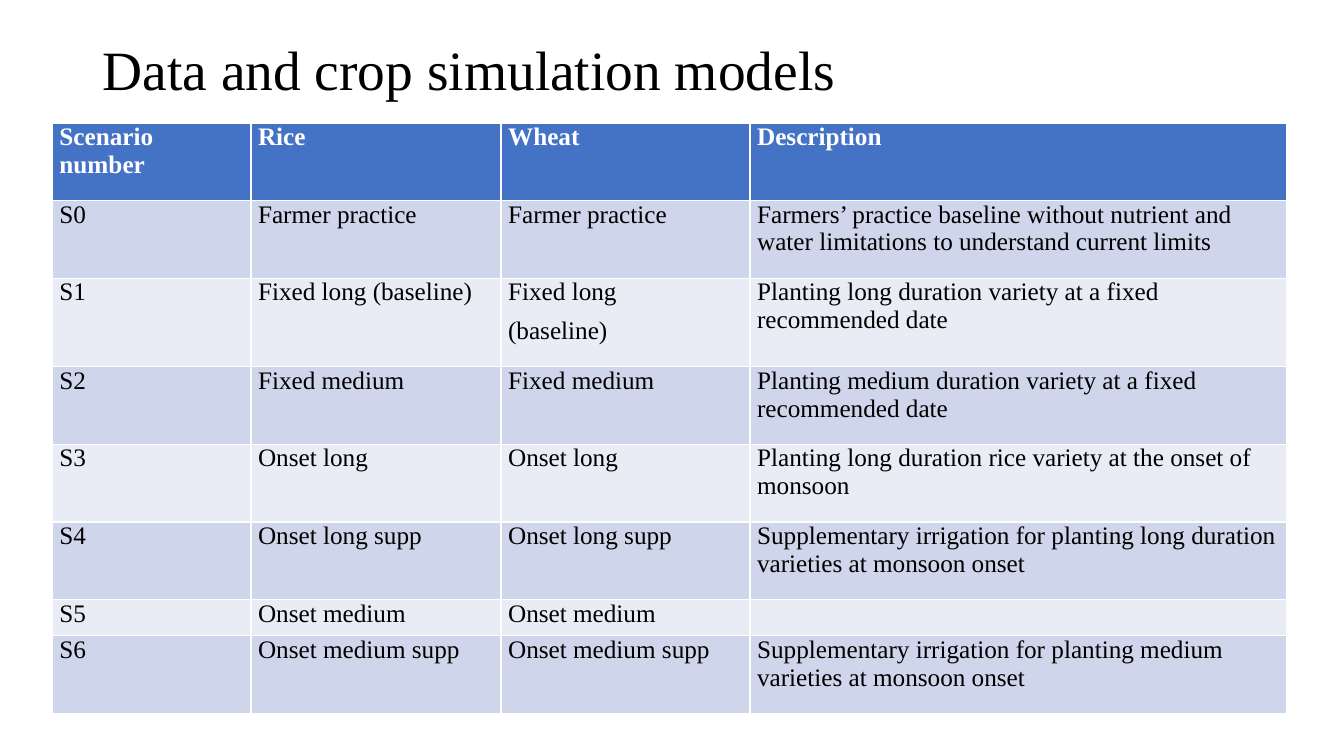
"""Build a slide with a table of crop simulation scenarios."""
from dataclasses import dataclass

from pptx import Presentation
from pptx import util as u
from pptx.dml import color
from pptx.enum import text

PX = u.Inches(1) // 100


@dataclass(frozen=True)
class Theme:
    """Hold the colours, font and type sizes of the slide."""
    font: str = "Times New Roman"
    title_size: float = 39.6
    table_size: float = 18
    ink: str = "000000"
    header_ink: str = "FFFFFF"
    header_fill: str = "4472C4"
    band_fills: tuple = ("E9EBF5", "CFD5EA")


THEME = Theme()

COLUMN_WIDTHS = (197, 248, 247, 532)
ROW_HEIGHTS = (77, 77, 88, 77, 77, 77, 36, 77)
SCENARIOS = (
    ("Scenario number", "Rice", "Wheat", "Description"),
    ("S0", "Farmer practice", "Farmer practice",
     "Farmers’ practice baseline without nutrient and water limitations to understand current limits"),
    ("S1", "Fixed long (baseline)", "Fixed long\n(baseline)",
     "Planting long duration variety at a fixed recommended date"),
    ("S2", "Fixed medium", "Fixed medium",
     "Planting medium duration variety at a fixed recommended date"),
    ("S3", "Onset long", "Onset long",
     "Planting long duration rice variety at the onset of monsoon"),
    ("S4", "Onset long supp", "Onset long supp",
     "Supplementary irrigation for planting long duration varieties at monsoon onset"),
    ("S5", "Onset medium", "Onset medium", ""),
    ("S6", "Onset medium supp", "Onset medium supp",
     "Supplementary irrigation for planting medium varieties at monsoon onset"),
)


def write_text(frame, content, size, ink=THEME.ink, bold=False, after=0, line_spacing=None):
    """Fill a text frame with one formatted paragraph per line of content."""
    frame.text = content
    for paragraph in frame.paragraphs:
        paragraph.space_after = u.Pt(after)
        paragraph.line_spacing = line_spacing
        font = paragraph.font
        for run in paragraph.runs:
            font = run.font
        font.name = THEME.font
        font.size = u.Pt(size)
        font.bold = bold
        font.color.rgb = color.RGBColor.from_string(ink)


def add_title(slide, content, left, top, width, height):
    """Add the slide title, centred vertically in its box."""
    frame = slide.shapes.add_textbox(left * PX, top * PX, width * PX, height * PX).text_frame
    frame.word_wrap = True
    frame.vertical_anchor = text.MSO_ANCHOR.MIDDLE
    write_text(frame, content, THEME.title_size, line_spacing=0.9)


def fill_cell(cell, content, fill, **text_format):
    """Set the margins, fill and text of one table cell."""
    cell.margin_left = cell.margin_right = 7 * PX
    cell.margin_top = cell.margin_bottom = 0
    cell.fill.solid()
    cell.fill.fore_color.rgb = color.RGBColor.from_string(fill)
    write_text(cell.text_frame, content, THEME.table_size, after=8, **text_format)


def add_scenario_table(slide, left, top):
    """Add the scenario table with a header and alternating row fills."""
    table = slide.shapes.add_table(
        len(SCENARIOS), len(COLUMN_WIDTHS), left * PX, top * PX,
        sum(COLUMN_WIDTHS) * PX, sum(ROW_HEIGHTS) * PX).table
    for column, width in zip(table.columns, COLUMN_WIDTHS):
        column.width = width * PX
    for index, (row, height, entries) in enumerate(zip(table.rows, ROW_HEIGHTS, SCENARIOS)):
        row.height = height * PX
        for cell, content in zip(row.cells, entries):
            if index == 0:
                fill_cell(cell, content, THEME.header_fill, ink=THEME.header_ink, bold=True)
            else:
                fill_cell(cell, content, THEME.band_fills[index % 2])


def main():
    """Build and save the presentation."""
    presentation = Presentation()
    presentation.slide_width = 1333 * PX
    presentation.slide_height = 750 * PX
    slide = presentation.slides.add_slide(presentation.slide_layouts[6])
    add_title(slide, "Data and crop simulation models", 92, 40, 1150, 63)
    add_scenario_table(slide, 52, 122)
    presentation.save("out.pptx")


if __name__ == "__main__":
    main()
